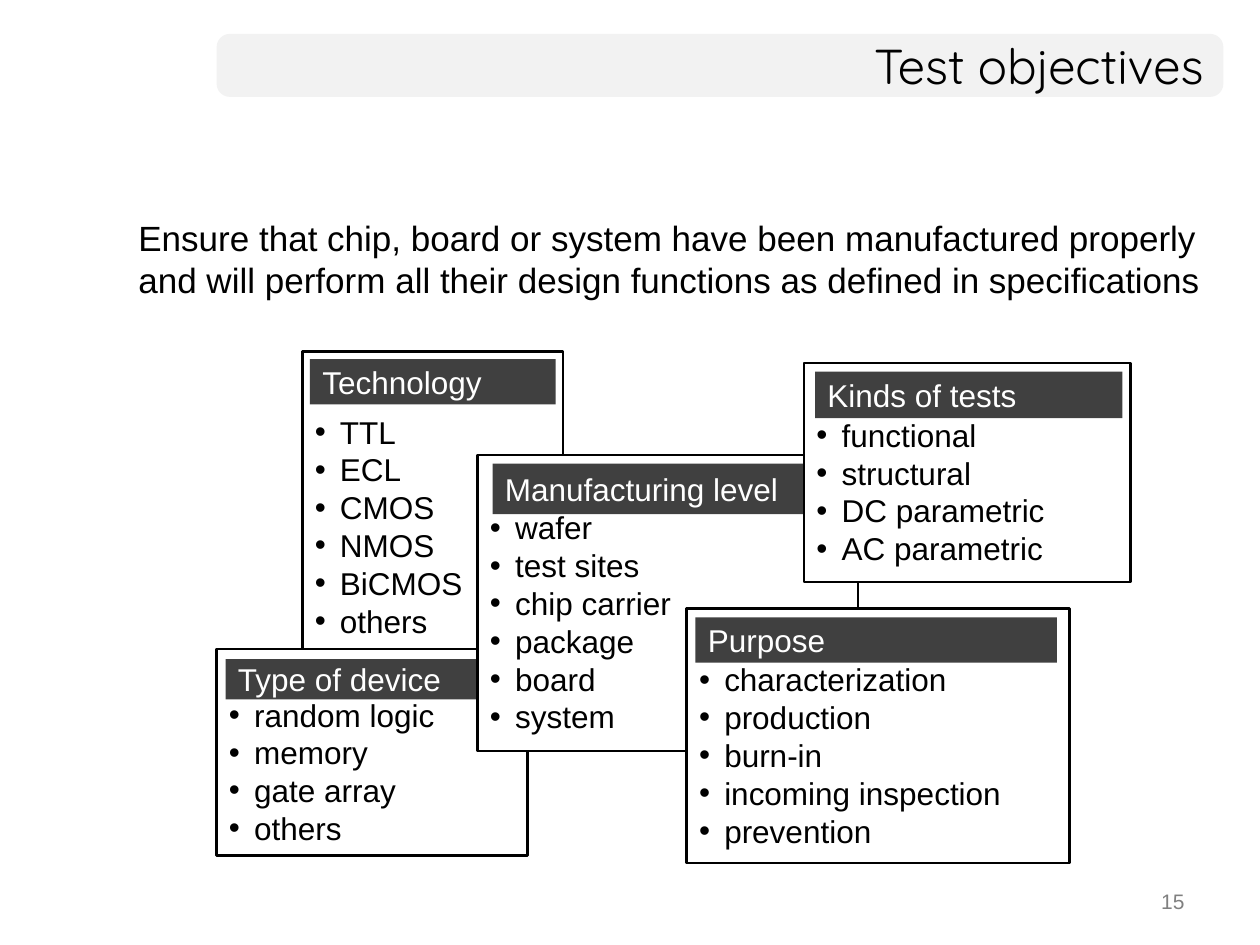
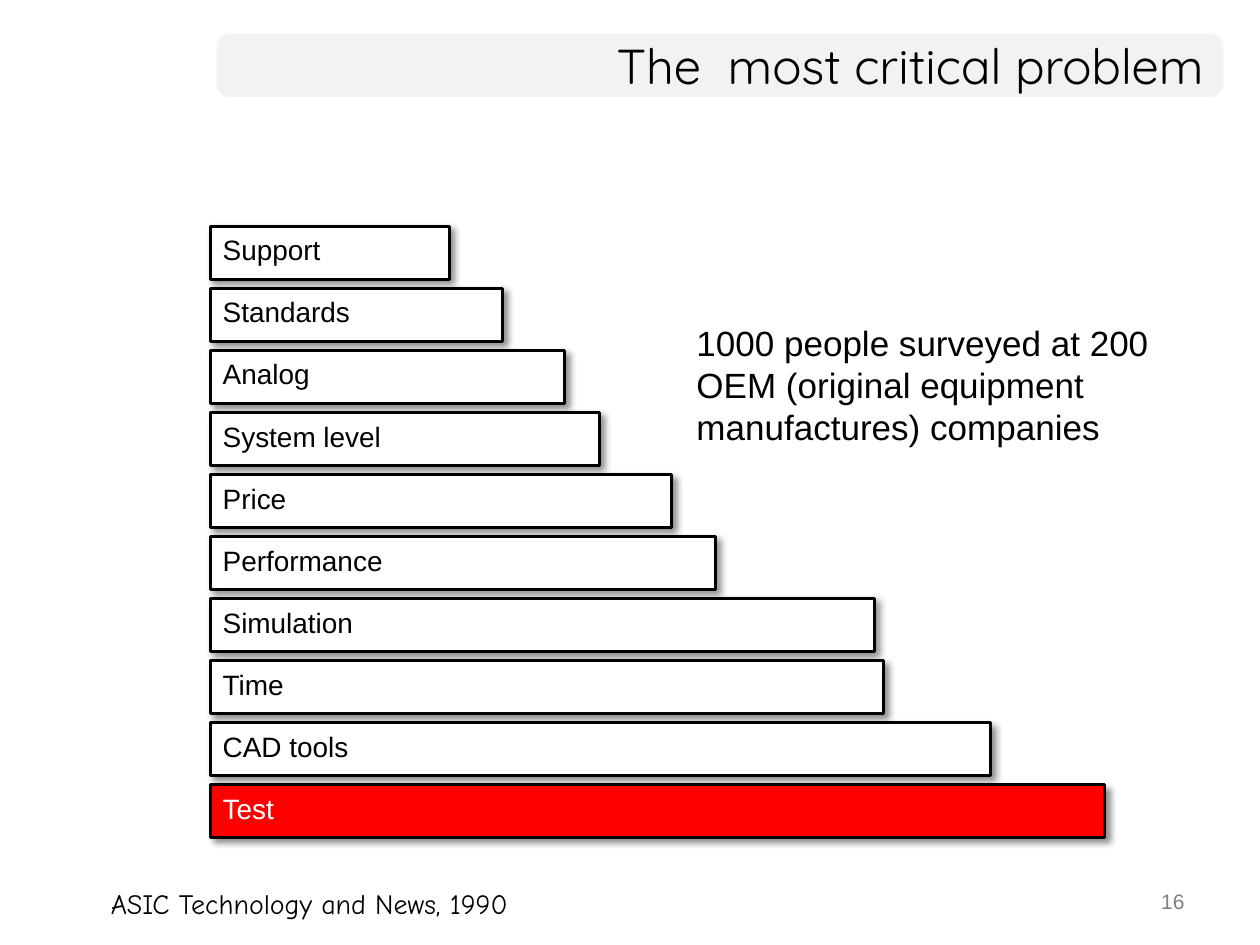
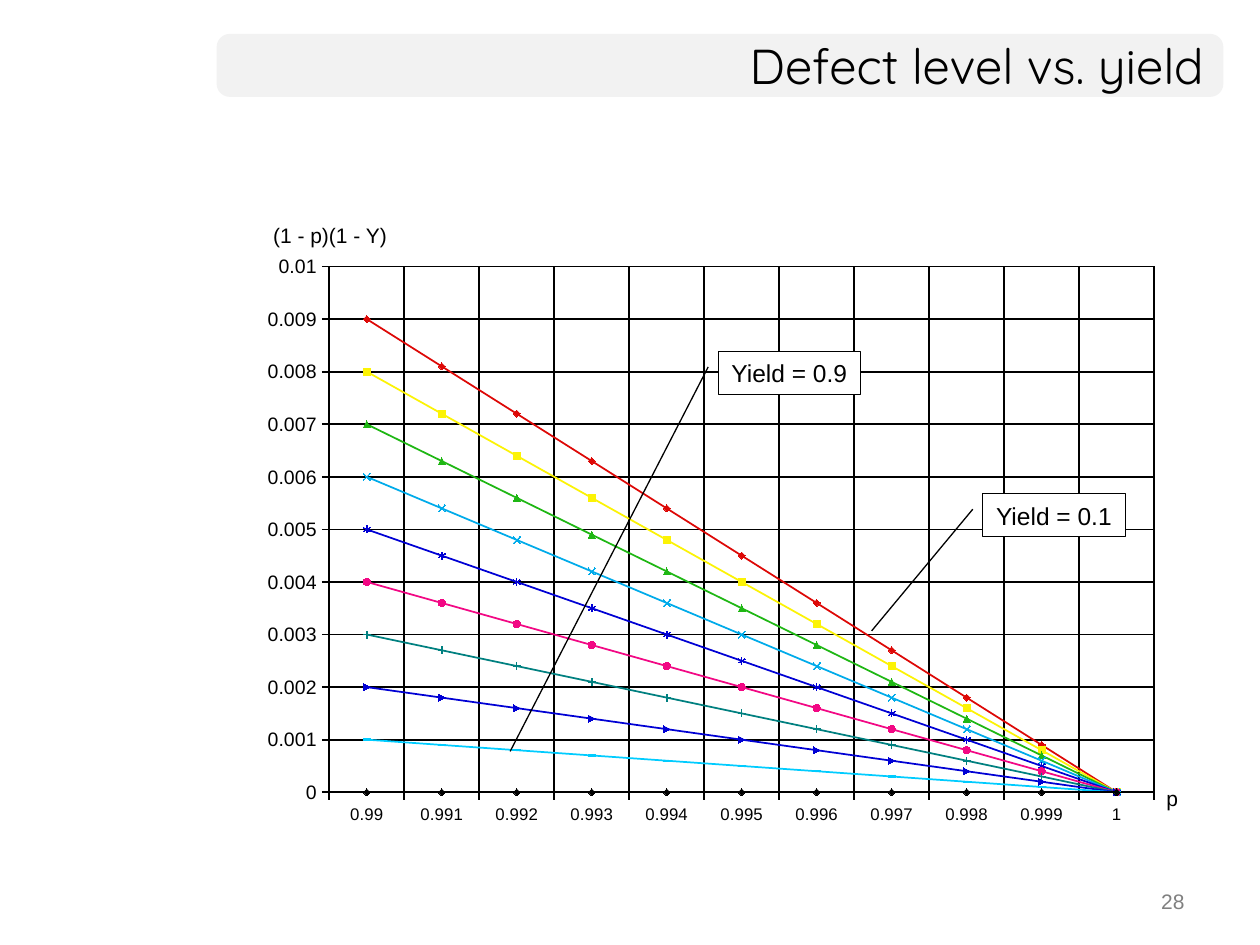
import lxml.etree
import pptx
import pptx.chart.data
import pptx.dml.color
import pptx.enum.chart
import pptx.enum.shapes
import pptx.enum.text
import pptx.oxml.ns
import pptx.util

Pt = pptx.util.Pt
qn = pptx.oxml.ns.qn
SHAPE = pptx.enum.shapes.MSO_SHAPE
ALIGN = pptx.enum.text.PP_ALIGN
ANCHOR = pptx.enum.text.MSO_ANCHOR

BLACK, WHITE, RED = "000000", "FFFFFF", "FF0000"
BAND, HEADING, NUMBER = "F2F2F2", "404040", "808080"
LINE_PITCH = 21.6

CARDS = [
    ((172.8, 200.9, 149, 177.8), (177.1, 205.2, 140.4, 25.9), "Technology",
     ["TTL", "ECL", "CMOS", "NMOS", "BiCMOS", "others"]),
    ((123.8, 370.8, 177.8, 118.1), (128.9, 376.6, 167, 23), "Type of device",
     ["random logic", "memory", "gate array", "others"]),
    ((272.9, 259.9, 217.4, 169.2), (281.5, 265, 199.4, 28.8), "Manufacturing level",
     ["wafer", "test sites", "chip carrier", "package", "board", "system"]),
    ((459.4, 207.4, 186.5, 125.3), (465.8, 212.4, 175.7, 26.6), "Kinds of tests",
     ["functional", "structural", "DC parametric", "AC parametric"]),
    ((392.4, 347.8, 218.9, 145.4), (397.4, 352.8, 206.6, 25.9), "Purpose",
     ["characterization", "production", "burn-in", "incoming inspection", "prevention"]),
]

PROBLEMS = [
    ("Support", 136.8), ("Standards", 167), ("Analog", 202.3), ("System level", 222.5),
    ("Price", 263.5), ("Performance", 288.7), ("Simulation", 379.4), ("Time", 384.5),
    ("CAD tools", 445.7), ("Test", 511.2),
]

YIELD_STYLES = [
    ("DD0806", "DIAMOND"), ("FCF305", "SQUARE"), ("1FB714", "TRIANGLE"), ("00ABEA", "X"),
    ("0000D4", "STAR"), ("F20884", "CIRCLE"), ("008080", "PLUS"), ("0000D4", "DOT"),
    ("00CCFF", "DASH"), ("000000", "DIAMOND"),
]


def color(value):
    return pptx.dml.color.RGBColor.from_string(value)


def child(parent, tag, **attributes):
    texts = {name: str(value) for name, value in attributes.items()}
    return lxml.etree.SubElement(parent, qn(tag), texts)


class Lecture:
    """Holds the deck style and the page being built."""

    def __init__(self):
        self.deck = pptx.Presentation()
        self.deck.slide_width, self.deck.slide_height = Pt(720), Pt(540)
        self.page = None

    def start(self, title, number):
        self.page = self.deck.slides.add_slide(self.deck.slide_layouts[6])
        self.shape((123.8, 19.4, 575.3, 36), BAND, kind=SHAPE.ROUNDED_RECTANGLE, adjust=[0.21])
        self.text((516.2, 504, 167.8, 25.2), [str(number)], 12, NUMBER, align=ALIGN.RIGHT)
        self.text((123.8, 19.4, 571, 36), [title], 28, face="Quicksand",
                  align=ALIGN.RIGHT, anchor=ANCHOR.MIDDLE)

    def shape(self, place, fill, line=None, kind=SHAPE.RECTANGLE, adjust=(), shadow=False):
        shape = self.page.shapes.add_shape(kind, *map(Pt, place))
        for index, value in enumerate(adjust):
            shape.adjustments[index] = value
        shape.fill.solid()
        shape.fill.fore_color.rgb = color(fill)
        if line:
            shape.line.color.rgb = color(BLACK)
            shape.line.width = Pt(line)
        else:
            shape.line.fill.background()
        shape.shadow.inherit = False
        if shadow:
            effects = shape._element.spPr.find(qn("a:effectLst"))
            outer = child(effects, "a:outerShdw", blurRad=Pt(4), dist=Pt(3), dir=45 * 60000,
                          algn="tl", rotWithShape=0)
            child(child(outer, "a:srgbClr", val=BLACK), "a:alpha", val=43000)
        return shape

    def text(self, place, lines, size, ink=BLACK, **style):
        box = self.page.shapes.add_textbox(*map(Pt, place))
        self.set_text(box, lines, size, ink, **style)

    def set_text(self, box, lines, size, ink=BLACK, face="Arial", align=ALIGN.LEFT,
                 anchor=ANCHOR.TOP, wrap=True, insets=(7.2, 3.6, 7.2, 3.6), bullets=False):
        frame = box.text_frame
        frame.word_wrap = wrap
        frame.vertical_anchor = anchor
        (frame.margin_left, frame.margin_top,
         frame.margin_right, frame.margin_bottom) = map(Pt, insets)
        for index, line in enumerate(lines):
            para = frame.add_paragraph() if index else frame.paragraphs[0]
            if bullets:
                properties = para._p.get_or_add_pPr()
                properties.set("marL", str(Pt(14.4)))
                properties.set("indent", str(Pt(-14.4)))
                child(properties, "a:buFont", typeface="Arial")
                child(properties, "a:buChar", char="•")
                para.line_spacing = Pt(LINE_PITCH)
            para.alignment = align
            span = para.add_run()
            span.text = line
            span.font.name = face
            span.font.size = Pt(size)
            span.font.color.rgb = color(ink)

    def card(self, frame, bar, heading, items):
        body = self.shape(frame, WHITE, 1.5)
        self.set_text(body, items, 18, anchor=ANCHOR.MIDDLE, bullets=True,
                      insets=(7.2, 3.6 + LINE_PITCH, 7.2, 3.6))
        self.set_text(self.shape(bar, HEADING), [heading], 18, WHITE, anchor=ANCHOR.MIDDLE)

    def bar(self, place, label, fill, ink):
        bar = self.shape(place, fill, 1.75, shadow=True)
        self.set_text(bar, [label], 16, ink, anchor=ANCHOR.MIDDLE, insets=(7.2, 3.6, 7.2, 7.2))

    def callout(self, left, top, label, adjust):
        callout = self.shape((left, top, 81.4, 24.5), WHITE, 0.75, SHAPE.LINE_CALLOUT_1, adjust)
        self.set_text(callout, [label], 14, align=ALIGN.CENTER, anchor=ANCHOR.MIDDLE, wrap=False)

    def line_chart(self, place, categories, rows, styles, layout):
        data = pptx.chart.data.CategoryChartData()
        data.categories = categories
        for number, values in enumerate(rows, 1):
            data.add_series(f"Series {number}", values)
        chart = self.page.shapes.add_chart(
            pptx.enum.chart.XL_CHART_TYPE.LINE_MARKERS, *map(Pt, place), data).chart
        chart.has_legend = chart.has_title = False
        chart.font.name = "Arial"
        chart.font.color.rgb = color(BLACK)
        chart.plots[0].vary_by_categories = False
        for series, (ink, marker) in zip(chart.plots[0].series, styles):
            series.smooth = False
            series.marker.style = pptx.enum.chart.XL_MARKER_STYLE[marker]
            series.marker.size = 4
            series.marker.format.fill.solid()
            series.marker.format.fill.fore_color.rgb = color(ink)
            for line in (series.format.line, series.marker.format.line):
                line.color.rgb = color(ink)
                line.width = Pt(1)
        for axis, size in ((chart.category_axis, 9.6), (chart.value_axis, 11.1)):
            axis.has_major_gridlines = True
            axis.major_tick_mark = pptx.enum.chart.XL_TICK_MARK.OUTSIDE
            axis.minor_tick_mark = pptx.enum.chart.XL_TICK_MARK.NONE
            for line in (axis.format.line, axis.major_gridlines.format.line):
                line.color.rgb = color(BLACK)
                line.width = Pt(1)
            font = axis.tick_labels.font
            font.name, font.size, font.bold = "Arial", Pt(size), False
            font.color.rgb = color(BLACK)
        self.place_plot(chart, layout)
        return chart

    def place_plot(self, chart, layout):
        area = chart._chartSpace.find(qn("c:chart")).find(qn("c:plotArea"))
        for old in area.findall(qn("c:layout")):
            area.remove(old)
        holder = child(area, "c:layout")
        area.insert(0, holder)
        manual = child(holder, "c:manualLayout")
        child(manual, "c:layoutTarget", val="inner")
        for side in "xy":
            child(manual, f"c:{side}Mode", val="edge")
        for side, value in zip("xywh", layout):
            child(manual, f"c:{side}", val=value)


def objectives(lecture):
    lecture.start("Test objectives", 15)
    for card in CARDS:
        lecture.card(*card)
    lecture.text((72, 120.2, 638.6, 55.4),
                 ["Ensure that chip, board or system have been manufactured properly and will "
                  "perform all their design functions as defined in specifications"], 20)


def critical_problem(lecture):
    lecture.start("The  most critical problem", 16)
    for index, (label, width) in enumerate(PROBLEMS):
        fill, ink = (RED, WHITE) if label == "Test" else (WHITE, BLACK)
        lecture.bar((120.2, 129.4 + 35.46 * index, width, 30.2), label, fill, ink)
    lecture.text((370, 180, 295.2, 80),
                 ["1000 people surveyed at 200 OEM (original equipment manufactures) companies"],
                 20, insets=(28, 3.6, 7.2, 3.6))
    lecture.text((56.2, 503.3, 267.8, 26.6), ["ASIC Technology and News, 1990"], 16,
                 face="Comic Neue", wrap=False)


def defect_level(lecture):
    lecture.start("Defect level vs. yield", 28)
    categories = [f"{0.99 + step / 1000:g}" for step in range(11)]
    rows = [[(10 - tenths) * (10 - step) / 10000 for step in range(11)]
            for tenths in range(1, 11)]
    chart = lecture.line_chart((134.6, 130.3, 535.7, 366.5), categories, rows, YIELD_STYLES,
                               (0.1, 0.06, 0.88, 0.82))
    axis = chart.value_axis
    axis.minimum_scale, axis.maximum_scale, axis.major_unit = 0, 0.01, 0.001
    axis.tick_labels.number_format = "General"
    axis.tick_labels.number_format_is_linked = False
    lecture.text((659.5, 445, 21.6, 21.6), ["p"], 12, anchor=ANCHOR.MIDDLE, wrap=False)
    lecture.callout(561.6, 282.2, "Yield = 0.1", [0.36, -0.07, 3.2, -0.78])
    lecture.callout(410.4, 200.9, "Yield = 0.9", [0.36, -0.07, 9.33, -1.46])
    lecture.text((149, 123.8, 82.1, 21.6), ["(1 - p)(1 - Y)"], 12,
                 anchor=ANCHOR.MIDDLE, wrap=False)


def main():
    lecture = Lecture()
    objectives(lecture)
    critical_problem(lecture)
    defect_level(lecture)
    lecture.deck.save("out.pptx")


if __name__ == "__main__":
    main()
